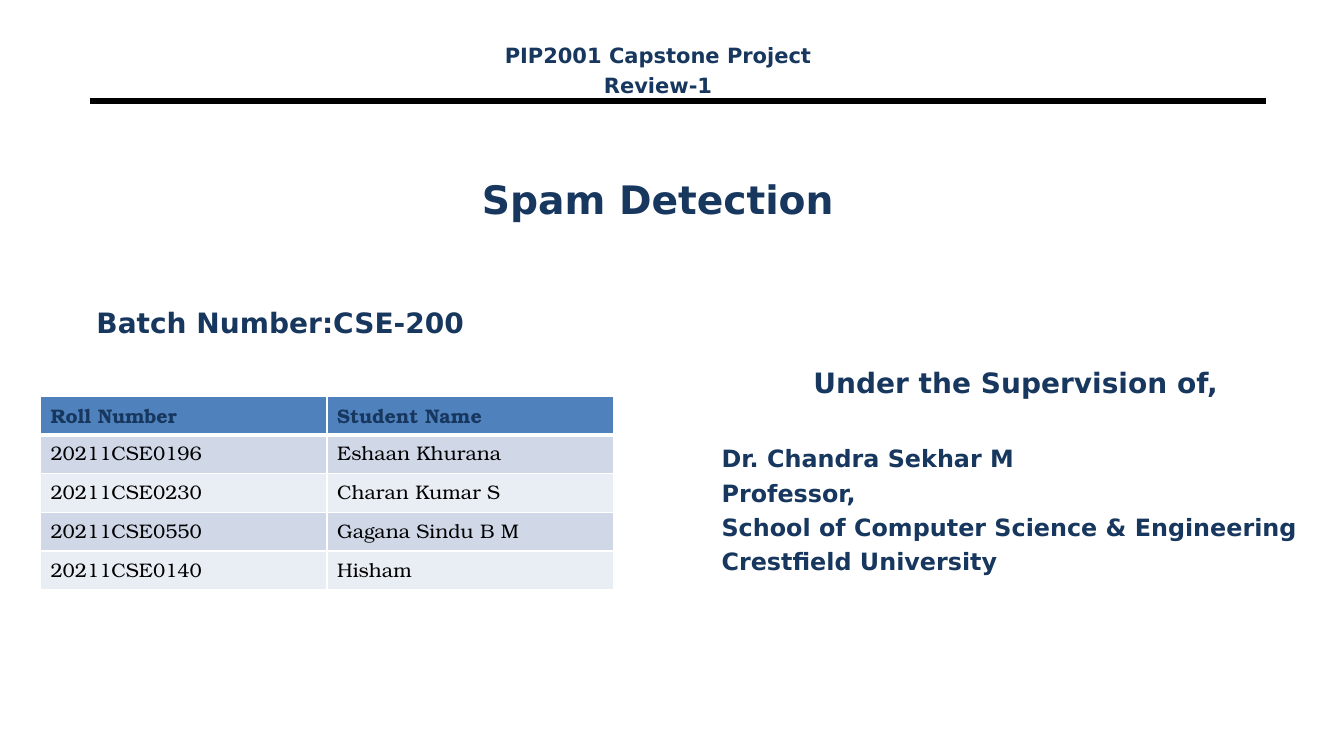
from lxml.etree import SubElement
from pptx import Presentation
from pptx.dml.color import RGBColor
from pptx.enum.shapes import MSO_CONNECTOR
from pptx.enum.text import MSO_ANCHOR, PP_ALIGN
from pptx.oxml.ns import qn
from pptx.util import Cm, Pt

HUES = {"navy": "17375E", "black": "000000", "white": "FFFFFF",
        "head": "4F81BD", "dark": "D0D8E8", "light": "E9EDF4"}
SANS, SERIF = "DejaVu Sans", "TeX Gyre Bonum"
LEFT, MID = PP_ALIGN.LEFT, PP_ALIGN.CENTER


def style(para, size, face=SANS, hue="navy", bold=True):
    font = para.font
    font.name, font.size, font.bold = face, Pt(size), bold
    font.color.rgb = RGBColor.from_string(HUES[hue])


def border(cell, side, width):
    """Draw a white line on one side (lnL, lnR, lnT or lnB) of a cell."""
    line = SubElement(cell._tc.get_or_add_tcPr(), qn("a:" + side), w=str(Pt(width)))
    fill = SubElement(line, qn("a:solidFill"))
    SubElement(fill, qn("a:srgbClr"), val=HUES["white"])


prs = Presentation()
prs.slide_width, prs.slide_height = Cm(33.86), Cm(19.05)
slide = prs.slides.add_slide(prs.slide_layouts[5])
shapes = slide.shapes

# Header rule
rule = shapes.add_connector(MSO_CONNECTOR.STRAIGHT, Cm(2.26), Cm(2.54), Cm(31.9), Cm(2.54))
rule.line.color.rgb = RGBColor.from_string(HUES["black"])
rule.line.width = Pt(4.5)
SubElement(rule._element.spPr, qn("a:effectLst"))

# Title
title = shapes.title
title.left, title.top, title.width, title.height = Cm(2.18), Cm(2.97), Cm(28.78), Cm(4.09)
title.text_frame.text = "Spam Detection"
title.text_frame.vertical_anchor = MSO_ANCHOR.MIDDLE
title.text_frame.paragraphs[0].alignment = MID
style(title.text_frame.paragraphs[0], 28)

# Text blocks: place, then (text, size, alignment, space before)
blocks = [
    ((11.07, 0.94, 11.02, 1.52), [
        ("PIP2001 Capstone Project", 15, MID, 0),
        ("Review-1", 15, MID, 3.5)]),
    ((2.18, 7.57, 11.02, 1.52), [("Batch Number:CSE-200", 20, LEFT, 0)]),
    ((17.93, 9.09, 15.32, 6.76), [
        ("Under the Supervision of,", 20, MID, 0),
        ("Dr. Chandra Sekhar M", 17, LEFT, 32),
        ("Professor,", 17, LEFT, 4),
        ("School of Computer Science & Engineering", 17, LEFT, 4),
        ("Crestfield University", 17, LEFT, 4)]),
]
for place, lines in blocks:
    frame = shapes.add_textbox(*map(Cm, place)).text_frame
    frame.word_wrap = True
    frame.text = "\n".join(line[0] for line in lines)
    for para, (_, size, align, gap) in zip(frame.paragraphs, lines):
        para.alignment = align
        para.space_before = Pt(gap)
        style(para, size)

# Student table
rows = [
    ("Roll Number", "Student Name"),
    ("20211CSE0196", "Eshaan Khurana"),
    ("20211CSE0230", "Charan Kumar S"),
    ("20211CSE0550", "Gagana Sindu B M"),
    ("20211CSE0140", "Hisham"),
]
table = shapes.add_table(len(rows), 2, Cm(1.02), Cm(9.98), Cm(14.44), Cm(4.88)).table
for r, row in enumerate(rows):
    head = r == 0
    band = "head" if head else "dark" if r % 2 else "light"
    for c, text in enumerate(row):
        cell = table.cell(r, c)
        cell.text = text
        style(cell.text_frame.paragraphs[0], 14, SERIF, "navy" if head else "black", head)
        for side in ("lnL", "lnR", "lnT", "lnB"):
            thick = (head and side == "lnB") or (r == 1 and side == "lnT")
            border(cell, side, 3 if thick else 1)
        cell.fill.solid()
        cell.fill.fore_color.rgb = RGBColor.from_string(HUES[band])

prs.save("out.pptx")
